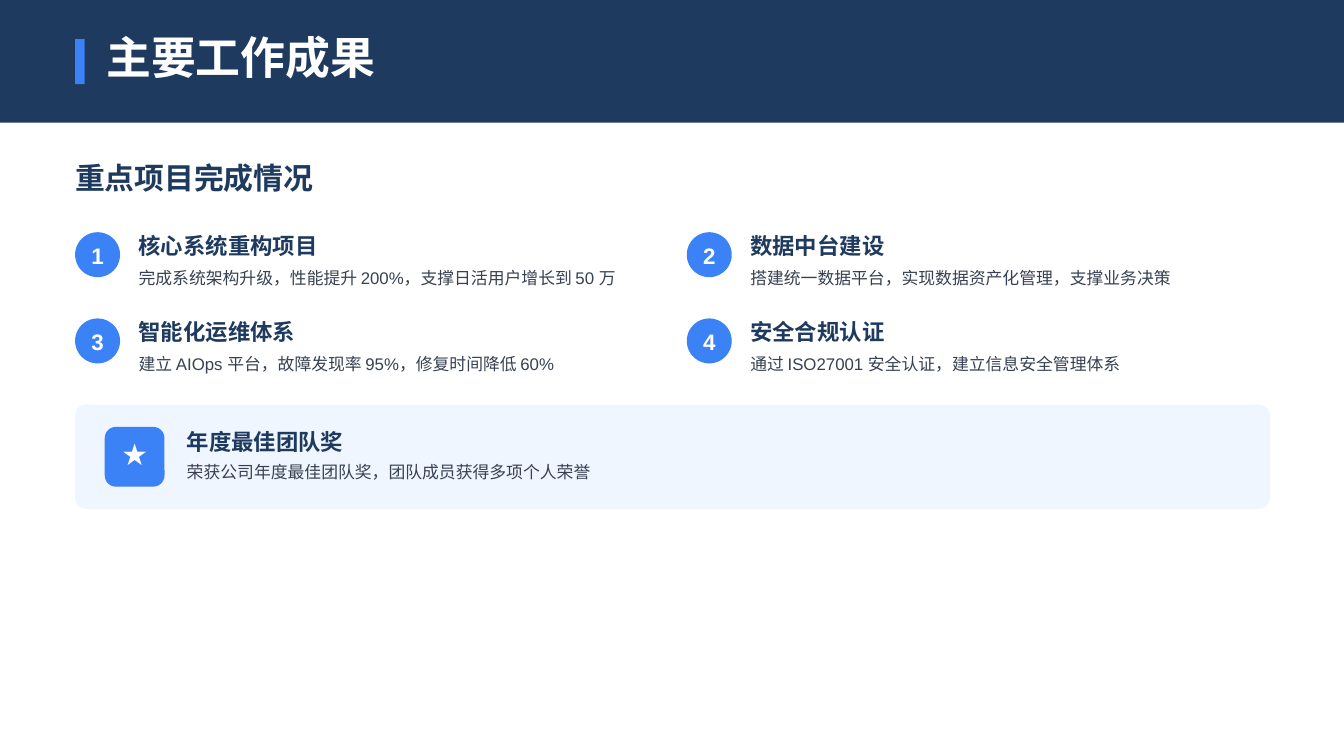
from pptx import Presentation
from pptx.dml.color import RGBColor
from pptx.enum.shapes import MSO_SHAPE
from pptx.enum.text import PP_ALIGN
from pptx.util import Cm, Pt

NAVY, BLUE, PALE = "1E3A5F", "3B82F6", "EFF6FF"
WHITE, GREY = "FFFFFF", "374151"
MARGIN = 1.42

PROJECTS = [
    ("核心系统重构项目", "完成系统架构升级，性能提升 200%，支撑日活用户增长到 50 万"),
    ("数据中台建设", "搭建统一数据平台，实现数据资产化管理，支撑业务决策"),
    ("智能化运维体系", "建立 AIOps 平台，故障发现率 95%，修复时间降低 60%"),
    ("安全合规认证", "通过 ISO27001 安全认证，建立信息安全管理体系"),
]


def color(value):
    return RGBColor.from_string(value)


def add_box(slide, left, top, width, height, fill, radius=None):
    """Add a borderless rectangle, rounded when a radius ratio is given."""
    kind = MSO_SHAPE.RECTANGLE if radius is None else MSO_SHAPE.ROUNDED_RECTANGLE
    shape = slide.shapes.add_shape(kind, Cm(left), Cm(top), Cm(width), Cm(height))
    if radius is not None:
        shape.adjustments[0] = radius
    shape.fill.solid()
    shape.fill.fore_color.rgb = color(fill)
    shape.line.fill.background()
    shape.shadow.inherit = False


def add_text(slide, left, top, width, height, text, size, fill, bold=True,
             align=PP_ALIGN.LEFT, line_spacing=None, space_after=None):
    text_box = slide.shapes.add_textbox(Cm(left), Cm(top), Cm(width), Cm(height))
    frame = text_box.text_frame
    frame.margin_left = frame.margin_right = frame.margin_top = frame.margin_bottom = 0
    frame.word_wrap = True
    frame.text = text
    paragraph = frame.paragraphs[0]
    paragraph.alignment = align
    if line_spacing is not None:
        paragraph.line_spacing = Pt(line_spacing)
    if space_after is not None:
        paragraph.space_after = Pt(space_after)
    font = paragraph.runs[0].font
    font.name, font.size, font.bold = "Arial", Pt(size), bold
    font.color.rgb = color(fill)


def add_header(slide, left, top, width, height, title):
    add_box(slide, left, top, width, height, NAVY)
    add_box(slide, left + MARGIN, top + 0.74, 0.18, 0.85, BLUE)
    add_text(slide, left + 2.01, top + 0.56, 5.2, 1.19, title, 24, WHITE)


def add_project(slide, left, top, width, number, title, description):
    # Numbered badge
    add_box(slide, left, top, 0.85, 0.85, BLUE, radius=0.5)
    add_text(slide, left + 0.3, top + 0.18, 0.25, 0.48, str(number), 12, WHITE,
             align=PP_ALIGN.CENTER)
    # Title and description
    text_left, text_width = left + 1.2, width - 1.2
    add_text(slide, text_left, top, text_width, 0.58, title, 12, NAVY, space_after=2)
    add_text(slide, text_left, top + 0.64, text_width, 0.41, description, 9, GREY,
             bold=False, line_spacing=11.7)


def add_project_grid(slide, left, top, width, height, projects):
    columns, column_gap, row_gap = 2, 0.36, 0.58
    rows = len(projects) // columns
    column_width = (width - column_gap) / columns
    row_height = (height - row_gap * (rows - 1)) / rows
    for index, (title, description) in enumerate(projects):
        row, column = divmod(index, columns)
        add_project(slide, left + column * (column_width + column_gap),
                    top + row * (row_height + row_gap),
                    column_width, index + 1, title, description)


def add_award(slide, left, top, width, height, title, description):
    add_box(slide, left, top, width, height, PALE, radius=0.107)
    # Star icon
    add_box(slide, left + 0.56, top + 0.42, 1.13, 1.13, BLUE, radius=0.188)
    add_text(slide, left + 0.83, top + 0.59, 0.59, 0.79, "★", 16, WHITE, bold=False,
             align=PP_ALIGN.CENTER)
    # Title and description
    add_text(slide, left + 2.11, top + 0.44, 7.8, 0.58, title, 12, NAVY, space_after=2)
    add_text(slide, left + 2.11, top + 1.08, 7.8, 0.46, description, 9, GREY, bold=False)


def main():
    presentation = Presentation()
    presentation.slide_width, presentation.slide_height = Cm(25.4), Cm(14.29)
    slide = presentation.slides.add_slide(presentation.slide_layouts[6])
    content_width = 22.58

    add_header(slide, 0, 0, 25.4, 2.32, "主要工作成果")
    add_text(slide, MARGIN, 3.02, 23.04, 0.79, "重点项目完成情况", 16, NAVY)
    add_project_grid(slide, MARGIN, 4.39, 22.76, 2.68, PROJECTS)
    add_award(slide, MARGIN, 7.65, content_width, 1.97, "年度最佳团队奖",
              "荣获公司年度最佳团队奖，团队成员获得多项个人荣誉")

    presentation.save("out.pptx")


if __name__ == "__main__":
    main()
